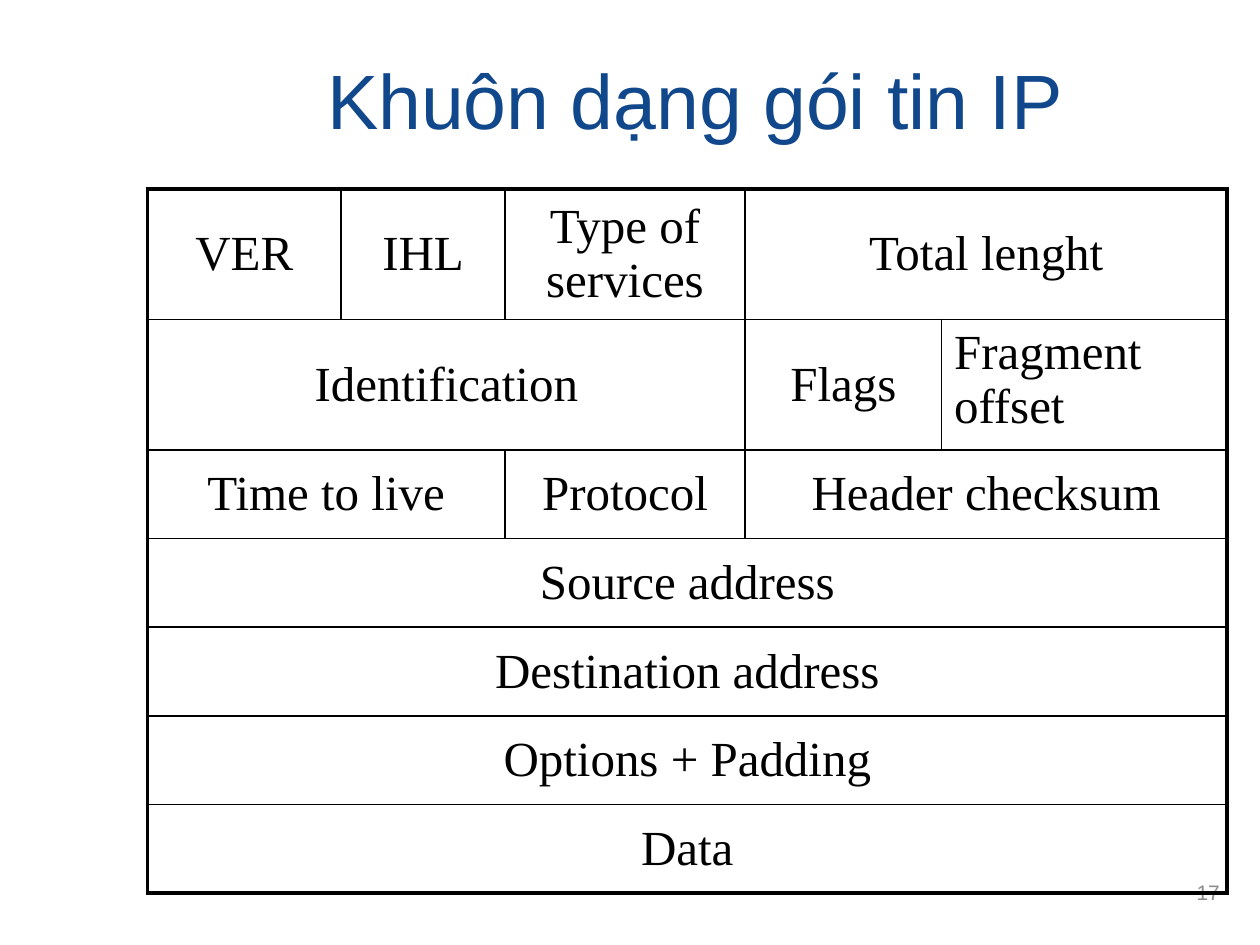
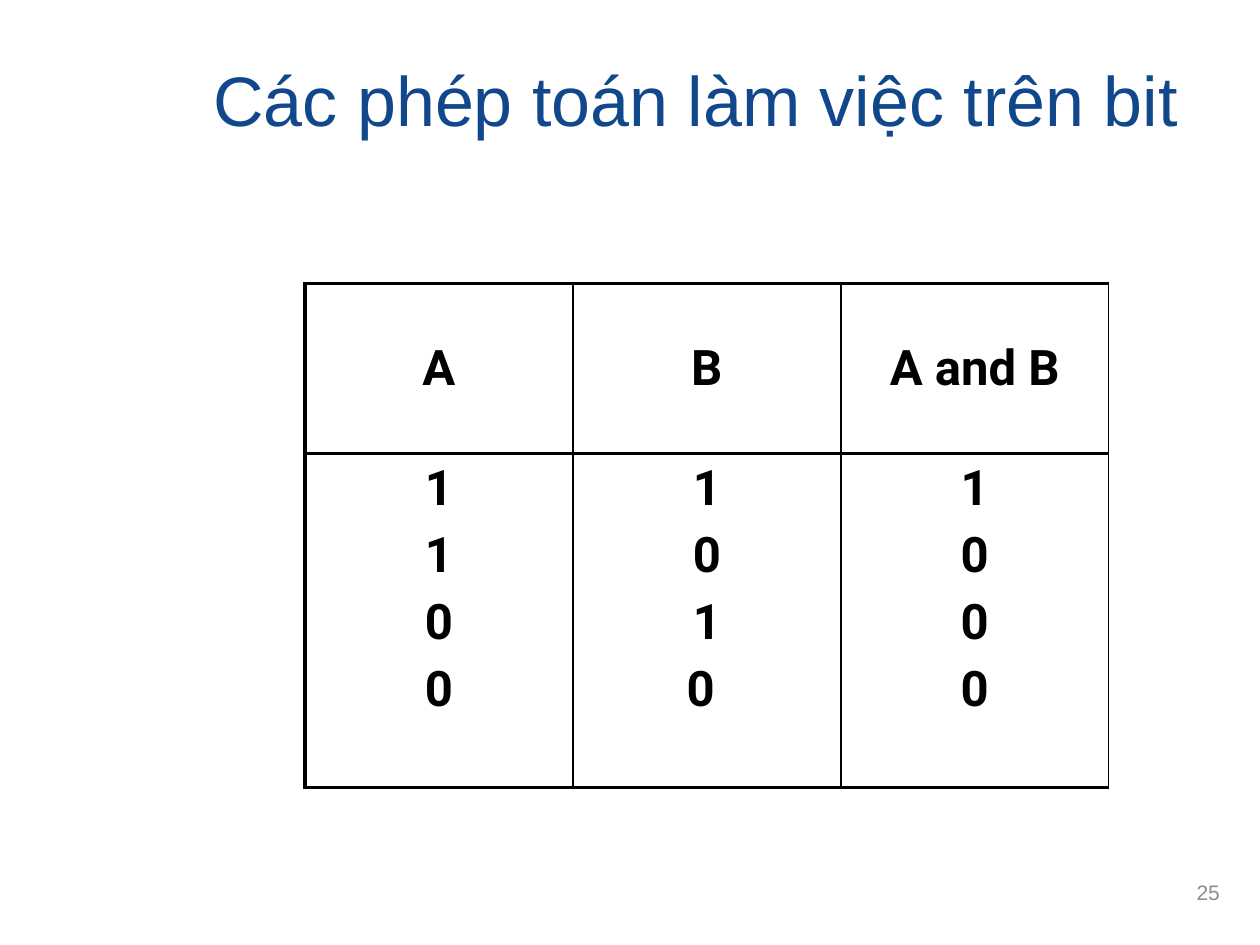
from dataclasses import dataclass, field
from typing import Any

from lxml import etree
from pptx import Presentation
from pptx import util as u
from pptx.dml import color
from pptx.enum import text
from pptx.oxml import ns

SLIDE_WIDTH, SLIDE_HEIGHT = u.Inches(10), u.Inches(7.5)
TITLE_ONLY = 5
BLUE, BLACK, GREY = "11478B", "000000", "8C8C8C"
THIN, THICK = 1, 2.25
NO_TABLE_STYLE = "{2D5ABB26-0587-4C30-8999-92F81FD0307C}"
CENTER, LEFT, RIGHT = text.PP_ALIGN.CENTER, text.PP_ALIGN.LEFT, text.PP_ALIGN.RIGHT
MIDDLE, TOP = text.MSO_ANCHOR.MIDDLE, text.MSO_ANCHOR.TOP


@dataclass(frozen=True)
class Area:
    """Percent shares of the slide's width and height."""
    left: float
    top: float
    width: float
    height: float

    def box(self) -> dict[str, int]:
        return {
            "left": int(SLIDE_WIDTH * self.left / 100),
            "top": int(SLIDE_HEIGHT * self.top / 100),
            "width": int(SLIDE_WIDTH * self.width / 100),
            "height": int(SLIDE_HEIGHT * self.height / 100),
        }


@dataclass(frozen=True)
class Style:
    font: str
    size: float
    color: str
    bold: bool = False
    align: Any = CENTER
    before: float = 0


@dataclass(frozen=True)
class Field:
    words: str
    span: int = 1
    align: Any = CENTER
    anchor: Any = MIDDLE


@dataclass(frozen=True)
class Grid:
    area: Area
    columns: list[float]
    rows: list[float]
    fields: list[list[Field]]
    style: Style
    right_edge: float = THICK
    row_rule: float = THIN


@dataclass(frozen=True)
class Page:
    title: str
    title_size: float
    number: str
    grid: Grid = field(repr=False)


TITLE_AREA = Area(12.6, 3.07, 85.2, 14.67)
NUMBER_AREA = Area(77, 91.07, 20.8, 6.67)
NUMBER_STYLE = Style("Arial", 12, GREY, align=RIGHT)

IP_HEADER = Grid(
    Area(11.7, 20, 85.7, 74.53),
    [1.54, 1.3, 1.91, 1.56, 2.27],
    [1.03] * 2 + [0.7] * 5,
    [
        [Field("VER"), Field("IHL"), Field("Type of services"), Field("Total lenght", 2)],
        [Field("Identification", 3), Field("Flags"),
         Field("Fragment offset", align=LEFT, anchor=TOP)],
        [Field("Time to live", 2), Field("Protocol"), Field("Header checksum", 2)],
        *[[Field(words, 5)] for words in
          ("Source address", "Destination address", "Options + Padding", "Data")],
    ],
    Style("Times New Roman", 28, BLACK, before=5.6),
)

AND_TRUTH = Grid(
    Area(24.2, 30, 63.8, 53.33),
    [1, 1, 1],
    [1.35, 2.65],
    [
        [Field(words) for words in ("A", "B", "A and B")],
        [Field(words, anchor=TOP) for words in ("1\n1\n0\n0", "1\n0\n1\n0 ", "1\n0\n0\n0")],
    ],
    Style("Roboto", 28, BLACK, bold=True, before=5.6),
    right_edge=THIN,
    row_rule=THICK,
)

PAGES = [
    Page("Khuôn dạng gói tin IP", 44, "17", IP_HEADER),
    Page("Các phép toán làm việc trên bit", 40, "25", AND_TRUTH),
]


def rgb(value: str) -> color.RGBColor:
    return color.RGBColor.from_string(value)


def apply(target: Any, values: dict[str, Any]) -> None:
    for name, value in values.items():
        setattr(target, name, value)


def write(frame: Any, words: str, style: Style, align: Any) -> None:
    frame.text = words
    for paragraph in frame.paragraphs:
        apply(paragraph, {"alignment": align, "space_before": u.Pt(style.before)})
        for run in paragraph.runs:
            apply(run.font, {"name": style.font, "size": u.Pt(style.size), "bold": style.bold})
            run.font.color.rgb = rgb(style.color)


def write_line(holder: Any, words: str, style: Style) -> None:
    frame = holder.text_frame
    write(frame, words, style, style.align)
    apply(frame, {"word_wrap": True, "vertical_anchor": MIDDLE,
                  "auto_size": text.MSO_AUTO_SIZE.NONE})


def rule_cell(cell: Any, weights: dict[str, float]) -> None:
    properties = cell._tc.get_or_add_tcPr()
    for side, weight in weights.items():
        edge = etree.SubElement(properties, ns.qn(f"a:ln{side}"), w=str(int(u.Pt(weight))))
        ink = etree.SubElement(edge, ns.qn("a:solidFill"))
        etree.SubElement(ink, ns.qn("a:srgbClr"), val=BLACK)
    cell.fill.background()


def draw_field(table: Any, grid: Grid, row: int, start: int, entry: Field) -> None:
    end = start + entry.span
    origin = table.cell(row, start)
    if entry.span > 1:
        origin.merge(table.cell(row, end - 1))
    write(origin.text_frame, entry.words, grid.style, entry.align)
    origin.vertical_anchor = entry.anchor
    right = grid.right_edge if end == len(grid.columns) else THIN
    for column in range(start, end):
        weights = {}
        if column == start:
            weights["L"] = THICK if column == 0 else THIN
        if column in (start, end - 1):
            weights["R"] = right
        weights["T"] = THICK if row == 0 else grid.row_rule
        weights["B"] = THICK if row == len(grid.rows) - 1 else grid.row_rule
        rule_cell(table.cell(row, column), weights)


def draw_grid(slide: Any, grid: Grid) -> None:
    box = grid.area.box()
    table = slide.shapes.add_table(len(grid.rows), len(grid.columns), **box).table
    apply(table, {"first_row": False, "horz_banding": False})
    table._tbl.tblPr.find(ns.qn("a:tableStyleId")).text = NO_TABLE_STYLE
    for column, share in zip(table.columns, grid.columns):
        column.width = int(box["width"] * share / sum(grid.columns))
    for row, share in zip(table.rows, grid.rows):
        row.height = int(box["height"] * share / sum(grid.rows))
    for row, entries in enumerate(grid.fields):
        start = 0
        for entry in entries:
            draw_field(table, grid, row, start, entry)
            start += entry.span


def draw_page(deck: Any, page: Page) -> None:
    slide = deck.slides.add_slide(deck.slide_layouts[TITLE_ONLY])
    title = slide.shapes.title
    apply(title, TITLE_AREA.box())
    write_line(title, page.title, Style("Arial", page.title_size, BLUE))
    number = slide.shapes.add_textbox(**NUMBER_AREA.box())
    write_line(number, page.number, NUMBER_STYLE)
    draw_grid(slide, page.grid)


def main() -> None:
    deck = Presentation()
    apply(deck, {"slide_width": SLIDE_WIDTH, "slide_height": SLIDE_HEIGHT})
    for page in PAGES:
        draw_page(deck, page)
    deck.save("out.pptx")


if __name__ == "__main__":
    main()
